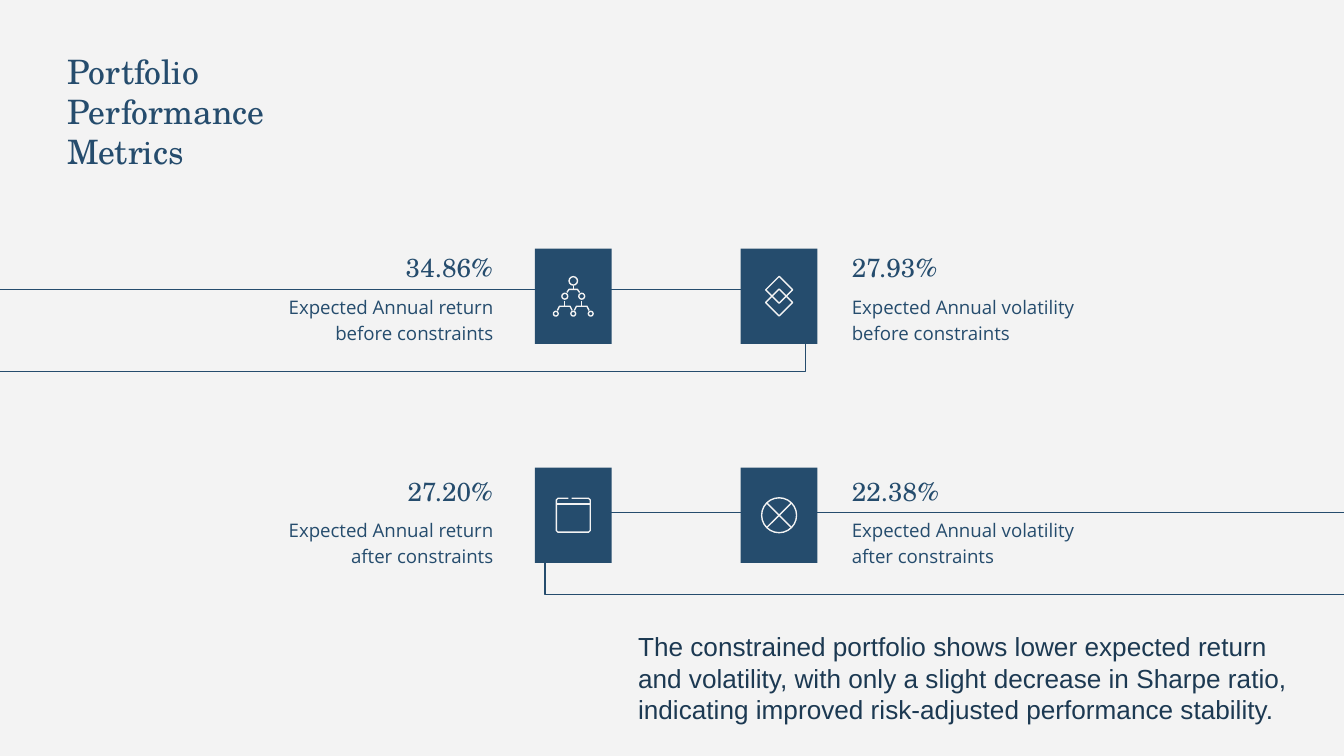
from pptx import Presentation
from pptx.dml.color import RGBColor
from pptx.enum.shapes import MSO_SHAPE
from pptx.enum.text import PP_ALIGN
from pptx.util import Cm, Pt

COLORS = {"navy": "254C6D", "paper": "F3F3F3", "ink": "1C3952"}
SERIF, SANS, PLAIN = "TeX Gyre Schola", "Open Sans", "Arial"
LEFT, RIGHT = PP_ALIGN.LEFT, PP_ALIGN.RIGHT
RECT, OVAL = MSO_SHAPE.RECTANGLE, MSO_SHAPE.OVAL
JUNCTION = MSO_SHAPE.FLOWCHART_SUMMING_JUNCTION

CARD_W, CARD_H = 1.45, 1.8
RETURN_X, VOLATILITY_X = 10.11, 14.0
BEFORE_Y, AFTER_Y = 4.7, 8.84


def rgb(name):
    return RGBColor.from_string(COLORS[name])


def outline(shape, color):
    shape.shadow.inherit = False
    shape.fill.background()
    shape.line.color.rgb = rgb(color)
    shape.line.width = Pt(0.75)


def add_outlined(slide, kind, left, top, width, height, color):
    shape = slide.shapes.add_shape(kind, Cm(left), Cm(top), Cm(width), Cm(height))
    outline(shape, color)
    return shape


def add_centred(slide, kind, cx, cy, size):
    return add_outlined(slide, kind, cx - size / 2, cy - size / 2, size, size, "paper")


def add_strokes(slide, cx, cy, strokes):
    """Draw open polylines, given around a centre, as one outline."""
    points = [[(Cm(cx + x), Cm(cy + y)) for x, y in stroke] for stroke in strokes]
    builder = slide.shapes.build_freeform(*points[0][0])
    builder.add_line_segments(points[0][1:], close=False)
    for stroke in points[1:]:
        builder.move_to(*stroke[0])
        builder.add_line_segments(stroke[1:], close=False)
    outline(builder.convert_to_shape(), "paper")


def add_text(slide, box, text, font, size, color="navy", align=LEFT, inset=0.25):
    frame = slide.shapes.add_textbox(*map(Cm, box)).text_frame
    frame.word_wrap = True
    frame.margin_left = frame.margin_right = Cm(0.25)
    frame.margin_top = frame.margin_bottom = Cm(inset)
    paragraph = frame.paragraphs[0]
    paragraph.text = text
    paragraph.alignment = align
    paragraph.font.name = font
    paragraph.font.size = Pt(size)
    paragraph.font.color.rgb = rgb(color)
    return paragraph


def hierarchy_icon(slide, cx, cy):
    nodes = [(0, -0.29, 0.16), (-0.16, 0, 0.11), (0.16, 0, 0.11)]
    nodes += [(x, 0.33, 0.09) for x in (-0.33, 0, 0.33)]
    for x, y, size in nodes:
        add_centred(slide, OVAL, cx + x, cy + y, size)
    branches = [(0, -0.19, -0.13, -0.07, 0.12),
                (-0.16, 0.09, 0.19, 0.27, 0.14),
                (0.16, 0.09, 0.19, 0.27, 0.14)]
    for x, top, bar, foot, half in branches:
        bend = half - 0.04
        add_strokes(slide, cx + x, cy, [
            [(0, top), (0, bar)],
            [(-half, foot), (-bend, bar), (bend, bar), (half, foot)],
        ])


def layers_icon(slide, cx, cy):
    for y in (-0.12, 0.12):
        add_centred(slide, RECT, cx, cy + y, 0.36).rotation = 45


def window_icon(slide, cx, cy):
    edge, corner = 0.32, 0.29
    add_strokes(slide, cx, cy, [
        [(-0.03, -edge), (corner, -edge), (edge, -corner), (edge, corner),
         (corner, edge), (-corner, edge), (-edge, corner), (-edge, -corner),
         (-corner, -edge), (-0.09, -edge)],
        [(-edge, -0.21), (edge, -0.21)],
    ])


def junction_icon(slide, cx, cy):
    add_centred(slide, JUNCTION, cx, cy, 0.66)


def add_metric(slide, left, top, value, label, align, value_dy, label_dy, draw_icon):
    """Place an icon card at left, top with its figures on the aligned side."""
    card = slide.shapes.add_shape(RECT, Cm(left), Cm(top), Cm(CARD_W), Cm(CARD_H))
    card.shadow.inherit = False
    card.fill.solid()
    card.fill.fore_color.rgb = rgb("navy")
    card.line.fill.background()
    draw_icon(slide, left + CARD_W / 2, top + CARD_H / 2)

    def beside(width):
        return left - 0.54 - width if align == RIGHT else left + 1.85

    add_text(slide, (beside(6.76), top + value_dy, 6.76, 1.6),
             value, SERIF, 14, align=align)
    caption = add_text(slide, (beside(5.08), top + label_dy, 5.08, 1.02),
                       label, SANS, 10, align=align)
    caption.line_spacing = 1.15
    caption.space_after = Pt(16)


def main():
    deck = Presentation()
    deck.slide_width, deck.slide_height = Cm(25.4), Cm(14.29)
    slide = deck.slides.add_slide(deck.slide_layouts[6])
    slide.background.fill.solid()
    slide.background.fill.fore_color.rgb = rgb("paper")

    for left, top in ((-0.37, 5.47), (10.3, 9.69)):
        add_outlined(slide, RECT, left, top, 15.6, 1.55, "navy")

    add_text(slide, (1.02, 0.71, 4.62, 2.62),
             "Portfolio Performance Metrics", SERIF, 18)

    rows = [
        (BEFORE_Y, "before", -0.2, 0.58,
         ("34.86%", hierarchy_icon), ("27.93%", layers_icon)),
        (AFTER_Y, "after", -0.1, 0.66,
         ("27.20%", window_icon), ("22.38%", junction_icon)),
    ]
    columns = [(RETURN_X, "return", RIGHT), (VOLATILITY_X, "volatility", LEFT)]
    for top, stage, value_dy, label_dy, *metrics in rows:
        for (left, measure, align), (value, icon) in zip(columns, metrics):
            label = f"Expected Annual {measure} {stage} constraints"
            add_metric(slide, left, top, value, label, align,
                       value_dy, label_dy, icon)

    add_text(slide, (11.81, 11.79, 13.16, 2.06),
             "The constrained portfolio shows lower expected return and volatility, "
             "with only a slight decrease in Sharpe ratio, indicating improved "
             "risk-adjusted performance stability.",
             PLAIN, 14, color="ink", inset=0.13)

    deck.save("out.pptx")


if __name__ == "__main__":
    main()
